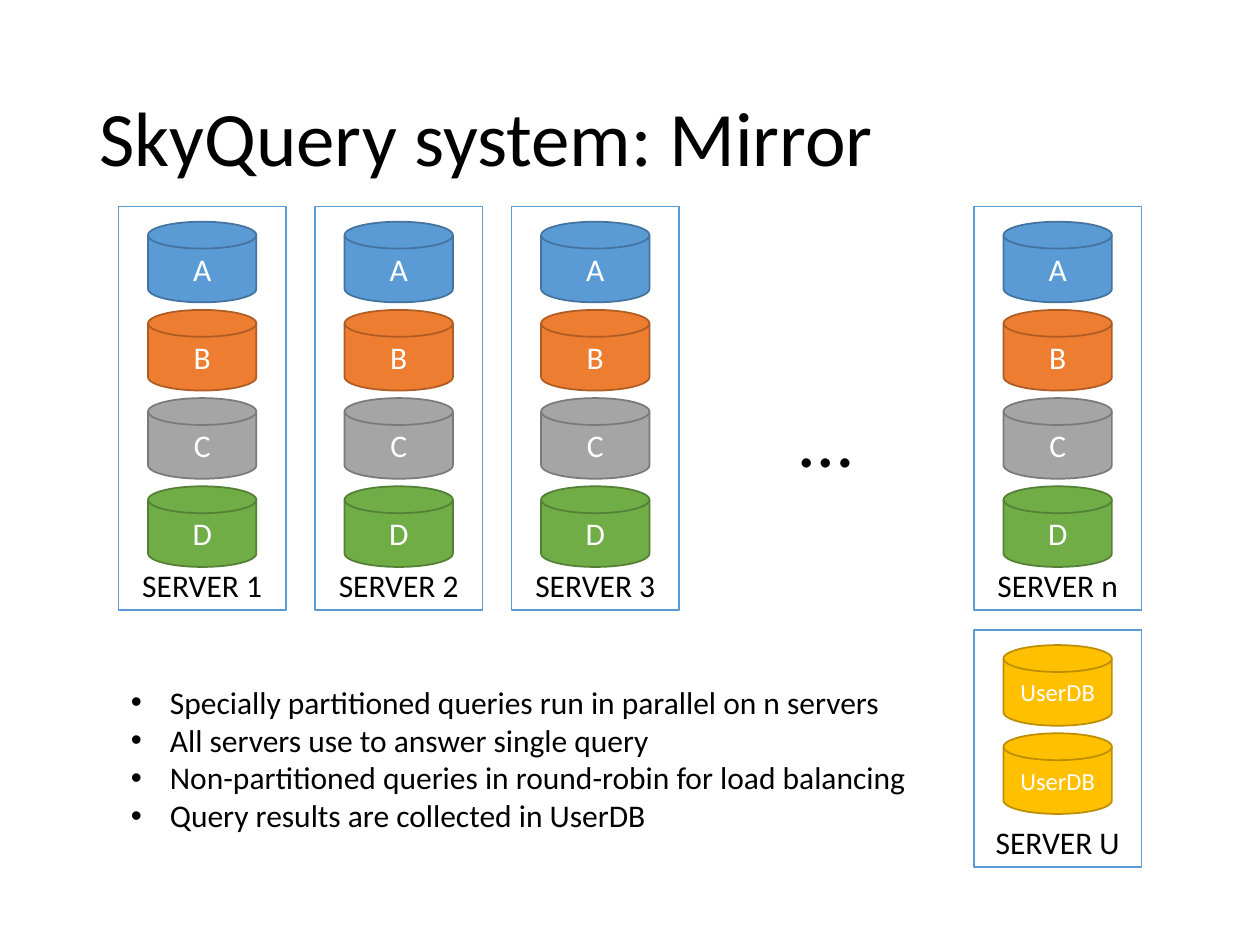
import pptx
import pptx.util
import pptx.dml.color
import pptx.enum.shapes
import pptx.enum.text
import pptx.oxml.ns
import lxml.etree

Inches = pptx.util.Inches
RGBColor = pptx.dml.color.RGBColor
MSO_SHAPE = pptx.enum.shapes.MSO_SHAPE
PP_ALIGN = pptx.enum.text.PP_ALIGN
MSO_ANCHOR = pptx.enum.text.MSO_ANCHOR

FONT = "Calibri"
BLACK = RGBColor(0x00, 0x00, 0x00)
WHITE = RGBColor(0xFF, 0xFF, 0xFF)
BLUE = RGBColor(0x5B, 0x9B, 0xD5)
DARK_BLUE = RGBColor(0x43, 0x73, 0x9E)
ORANGE = RGBColor(0xED, 0x7D, 0x31)
DARK_ORANGE = RGBColor(0xAF, 0x5C, 0x24)
GRAY = RGBColor(0xA5, 0xA5, 0xA5)
DARK_GRAY = RGBColor(0x7A, 0x7A, 0x7A)
GREEN = RGBColor(0x70, 0xAD, 0x47)
DARK_GREEN = RGBColor(0x53, 0x80, 0x35)
GOLD = RGBColor(0xFF, 0xC0, 0x00)
DARK_GOLD = RGBColor(0xBD, 0x8E, 0x00)

# Each database: label, text size, fill, line
PARTITIONS = [
    ("A", 18, BLUE, DARK_BLUE),
    ("B", 18, ORANGE, DARK_ORANGE),
    ("C", 18, GRAY, DARK_GRAY),
    ("D", 18, GREEN, DARK_GREEN),
]
USER_DATABASES = [("UserDB", 14, GOLD, DARK_GOLD)] * 2

NOTES = [
    "Specially partitioned queries run in parallel on n servers",
    "All servers use to answer single query",
    "Non-partitioned queries in round-robin for load balancing",
    "Query results are collected in UserDB",
]

SERVER_TOP = Inches(1.64)
SERVER_WIDTH = Inches(1.33)
SERVER_HEIGHT = Inches(3.2)
SERVER_LEFT = Inches(0.94)
SERVER_PITCH = Inches(1.56)
LAST_SERVER_LEFT = Inches(7.73)
DISK_WIDTH = Inches(0.86)
DISK_HEIGHT = Inches(0.64)
DISK_PITCH = Inches(0.7)
DISK_MARGIN = Inches(0.12)


def add_run(paragraph, text, size, color):
    run = paragraph.add_run()
    run.text = text
    run.font.name = FONT
    run.font.size = pptx.util.Pt(size)
    run.font.color.rgb = color


def add_labelled_shape(shapes, kind, box, label, size, color, fill, line, anchor):
    shape = shapes.add_shape(kind, *box)
    shape.shadow.inherit = False
    shape.fill.solid()
    shape.fill.fore_color.rgb = fill
    shape.line.color.rgb = line
    shape.line.width = pptx.util.Pt(1)
    shape.text_frame.word_wrap = True
    shape.text_frame.vertical_anchor = anchor
    paragraph = shape.text_frame.paragraphs[0]
    paragraph.alignment = PP_ALIGN.CENTER
    add_run(paragraph, label, size, color)


def add_server(slide, box, name, databases):
    """Group a server frame with its databases stacked from the top."""
    left, top, width, height = box
    group = slide.shapes.add_group_shape()
    add_labelled_shape(group.shapes, MSO_SHAPE.RECTANGLE, box, name, 18,
                       BLACK, WHITE, BLUE, MSO_ANCHOR.BOTTOM)
    disk_left = left + (width - DISK_WIDTH) // 2
    for row, (label, size, fill, line) in enumerate(databases):
        disk_top = top + DISK_MARGIN + row * DISK_PITCH
        disk_box = (disk_left, disk_top, DISK_WIDTH, DISK_HEIGHT)
        add_labelled_shape(group.shapes, MSO_SHAPE.FLOWCHART_MAGNETIC_DISK, disk_box,
                           label, size, WHITE, fill, line, MSO_ANCHOR.MIDDLE)


def add_title(slide, box, text):
    frame = slide.shapes.add_textbox(*box).text_frame
    frame.word_wrap = True
    frame.vertical_anchor = MSO_ANCHOR.MIDDLE
    frame.paragraphs[0].line_spacing = 0.9
    add_run(frame.paragraphs[0], text, 44, BLACK)


def add_ellipsis(slide, box):
    frame = slide.shapes.add_textbox(*box).text_frame
    frame.word_wrap = False
    add_run(frame.paragraphs[0], "…", 44, BLACK)


def add_bullet(paragraph):
    properties = paragraph._p.get_or_add_pPr()
    properties.set("marL", str(Inches(0.31)))
    properties.set("indent", str(-Inches(0.31)))
    font = lxml.etree.SubElement(properties, pptx.oxml.ns.qn("a:buFont"))
    font.set("typeface", "Arial")
    bullet = lxml.etree.SubElement(properties, pptx.oxml.ns.qn("a:buChar"))
    bullet.set("char", "•")


def add_notes_list(slide, box, notes):
    frame = slide.shapes.add_textbox(*box).text_frame
    frame.word_wrap = True
    for index, note in enumerate(notes):
        paragraph = frame.add_paragraph() if index else frame.paragraphs[0]
        add_bullet(paragraph)
        add_run(paragraph, note, 18, BLACK)


def main():
    presentation = pptx.Presentation()
    presentation.slide_width = Inches(10)
    presentation.slide_height = Inches(7.5)
    slide = presentation.slides.add_slide(presentation.slide_layouts[6])

    add_title(slide, (Inches(0.69), Inches(0.4), Inches(8.62), Inches(1.45)),
              "SkyQuery system: Mirror")
    server_lefts = [SERVER_LEFT + column * SERVER_PITCH for column in range(3)]
    for name, left in zip("123n", server_lefts + [LAST_SERVER_LEFT]):
        add_server(slide, (left, SERVER_TOP, SERVER_WIDTH, SERVER_HEIGHT),
                   f"SERVER {name}", PARTITIONS)
    add_ellipsis(slide, (Inches(6.25), Inches(3.05), Inches(0.63), Inches(0.84)))
    add_server(slide, (LAST_SERVER_LEFT, Inches(5), SERVER_WIDTH, Inches(1.88)),
               "SERVER U", USER_DATABASES)
    add_notes_list(slide, (SERVER_LEFT, Inches(5.37), Inches(6.65), Inches(1.31)), NOTES)

    presentation.save("out.pptx")


if __name__ == "__main__":
    main()
